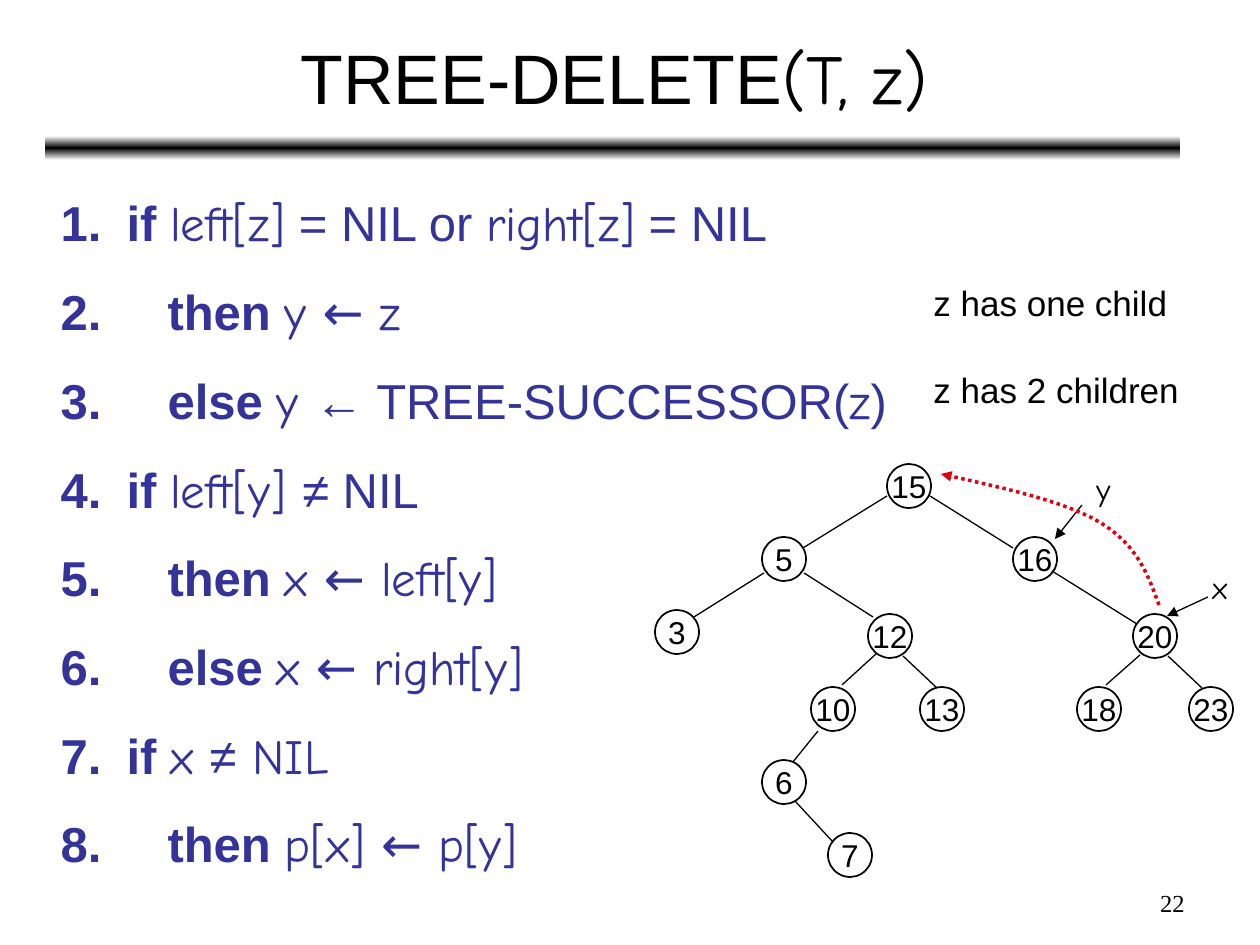
from copy import deepcopy
from dataclasses import dataclass
from itertools import cycle

from lxml.etree import SubElement
from pptx import Presentation
from pptx.dml.color import RGBColor
from pptx.enum.dml import MSO_LINE
from pptx.enum.shapes import MSO_CONNECTOR, MSO_SHAPE
from pptx.enum.text import MSO_ANCHOR, MSO_AUTO_SIZE, PP_ALIGN
from pptx.oxml.ns import qn
from pptx.util import Pt


@dataclass(frozen=True)
class Theme:
    ink: RGBColor = RGBColor(0, 0, 0)
    paper: RGBColor = RGBColor(255, 255, 255)
    code: RGBColor = RGBColor(0x33, 0x33, 0x99)
    red: RGBColor = RGBColor(0xDD, 0x01, 0x11)
    sans: str = "Arial"
    hand: str = "Comic Neue"
    serif: str = "Times New Roman"
    head: int = 40
    body: int = 28
    note: int = 20
    node: int = 18
    page: int = 14


THEME = Theme()
SIZE = 44

STEPS = [
    ("if ", "left[z]", " = NIL or ", "right[z]", " = NIL"),
    ("then ", "y ← z"),
    ("else ", "y ", "← TREE-SUCCESSOR(", "z", ")"),
    ("if ", "left[y] ", "≠ NIL"),
    ("then ", "x ← left[y]"),
    ("else ", "x ← right[y]"),
    ("if ", "x ", "≠", " NIL"),
    ("then ", "p[x] ← p[y]"),
]

NODES = [
    (15, 887, 464), (16, 1013, 537), (20, 1133, 614), (18, 1077, 687),
    (23, 1189, 687), (5, 762, 537), (3, 655, 610), (12, 868, 614),
    (10, 811, 687), (13, 920, 687), (6, 762, 760), (7, 828, 833),
]

EDGES = [
    (887, 496, 803, 548), (930, 496, 1013, 548), (1052, 571, 1137, 624),
    (1140, 655, 1106, 685), (1168, 656, 1202, 688), (764, 573, 694, 617),
    (804, 573, 873, 617), (876, 654, 842, 685), (903, 656, 937, 688),
    (818, 731, 793, 762), (795, 801, 833, 842),
]

MARKS = [(1082, 505, 1055, 539), (1208, 597, 1167, 616)]

CURVE = [
    ((1159, 605), (1148, 575), (1138, 546), (1101, 523)),
    ((1101, 523), (1065, 501), (1003, 488), (941, 474)),
]


def px(num):
    return round(num * 914400 / 126)


def box(*nums):
    return [px(num) for num in nums]


def style(font, size, name, color=THEME.ink):
    font.size = Pt(size)
    font.name = name
    font.color.rgb = color


def place(shape, *nums):
    shape.left, shape.top, shape.width, shape.height = box(*nums)


def add_bar(slide):
    bar = slide.shapes.add_shape(MSO_SHAPE.ROUNDED_RECTANGLE, *box(45, 136, 1135, 24))
    bar.shadow.inherit = False
    bar.line.fill.background()
    bar.fill.gradient()
    bar.fill.gradient_angle = 90
    stops = bar._element.spPr.find(".//" + qn("a:gsLst"))
    stops.insert(1, deepcopy(stops[0]))
    tones = [(0, THEME.paper), (0.5, THEME.ink), (1, THEME.paper)]
    for stop, (pos, color) in zip(bar.fill.gradient_stops, tones):
        stop.position = pos
        stop.color.rgb = color


def add_title(slide):
    title = slide.shapes.title
    place(title, 47, 14, 1134, 125)
    frame = title.text_frame
    frame.vertical_anchor = MSO_ANCHOR.MIDDLE
    frame.auto_size = MSO_AUTO_SIZE.NONE
    para = frame.paragraphs[0]
    para.alignment = PP_ALIGN.CENTER
    for text, name in [("TREE-DELETE", THEME.sans), ("(T, z)", THEME.hand)]:
        run = para.add_run()
        run.text = text
        style(run.font, THEME.head, name)


def number(para, indent):
    props = para._p.get_or_add_pPr()
    props.set("marL", str(px(indent)))
    props.set("indent", str(-px(indent)))
    tint = SubElement(props, qn("a:buClr"))
    SubElement(tint, qn("a:srgbClr")).set("val", str(THEME.code))
    SubElement(props, qn("a:buFont")).set("typeface", THEME.sans)
    SubElement(props, qn("a:buAutoNum")).set("type", "arabicPeriod")


def add_steps(slide):
    body = slide.placeholders[1]
    place(body, 48, 169, 898, 730)
    frame = body.text_frame
    frame.auto_size = MSO_AUTO_SIZE.NONE
    for pos, (key, *parts) in enumerate(STEPS):
        para = frame.add_paragraph() if pos else frame.paragraphs[0]
        para.line_spacing = 1.3
        para.space_before = Pt(7)
        number(para, 66 if key == "if " else 107)
        names = cycle([THEME.sans, THEME.hand])
        for text, name in zip([key, *parts], names):
            run = para.add_run()
            run.text = text
            run.font.bold = text == key
            style(run.font, THEME.body, name, THEME.code)


def add_label(slide, text, area, size, name, align=PP_ALIGN.LEFT):
    label = slide.shapes.add_textbox(*box(*area))
    label.text_frame.word_wrap = True
    para = label.text_frame.paragraphs[0]
    para.text = text
    para.alignment = align
    style(para.font, size, name)


def add_node(slide, value, left, top):
    node = slide.shapes.add_shape(MSO_SHAPE.OVAL, *box(left, top, SIZE, SIZE))
    node.shadow.inherit = False
    node.fill.solid()
    node.fill.fore_color.rgb = THEME.paper
    node.line.color.rgb = THEME.ink
    node.line.width = Pt(1)
    frame = node.text_frame
    frame.word_wrap = False
    frame.vertical_anchor = MSO_ANCHOR.MIDDLE
    para = frame.paragraphs[0]
    para.text = str(value)
    para.alignment = PP_ALIGN.CENTER
    style(para.font, THEME.node, THEME.sans)


def add_tip(shape):
    SubElement(shape.line._get_or_add_ln(), qn("a:tailEnd")).set("type", "triangle")


def add_edge(slide, ends, tip=False):
    edge = slide.shapes.add_connector(MSO_CONNECTOR.STRAIGHT, *box(*ends))
    SubElement(edge._element.spPr, qn("a:effectLst"))
    edge.line.color.rgb = THEME.ink
    edge.line.width = Pt(0.75)
    if tip:
        add_tip(edge)


def bend(nodes, t):
    u = 1 - t
    rates = (u**3, 3 * u * u * t, 3 * u * t * t, t**3)
    return [px(sum(r * n for r, n in zip(rates, axis))) for axis in zip(*nodes)]


def add_curve(slide):
    dots = [bend(part, step / 12) for part in CURVE for step in range(1, 13)]
    path = slide.shapes.build_freeform(*box(*CURVE[0][0]))
    path.add_line_segments(dots, close=False)
    curve = path.convert_to_shape()
    curve.shadow.inherit = False
    curve.fill.background()
    curve.line.color.rgb = THEME.red
    curve.line.width = Pt(2)
    curve.line.dash_style = MSO_LINE.ROUND_DOT
    add_tip(curve)


def main():
    deck = Presentation()
    deck.slide_width, deck.slide_height = box(1260, 945)
    slide = deck.slides.add_slide(deck.slide_layouts[1])
    add_bar(slide)
    add_title(slide)
    add_steps(slide)
    add_label(slide, "z has one child", (921, 275, 306, 55), THEME.note, THEME.sans)
    add_label(slide, "z has 2 children", (921, 362, 271, 55), THEME.note, THEME.sans)
    for node in NODES:
        add_node(slide, *node)
    for ends in EDGES:
        add_edge(slide, ends)
    for ends in MARKS:
        add_edge(slide, ends, tip=True)
    add_label(slide, "y", (1084, 464, 42, 50), THEME.node, THEME.hand)
    add_label(slide, "x", (1200, 562, 42, 50), THEME.node, THEME.hand)
    add_curve(slide)
    add_label(slide, "22", (903, 882, 294, 44), THEME.page, THEME.serif, PP_ALIGN.RIGHT)
    deck.save("out.pptx")


if __name__ == "__main__":
    main()
